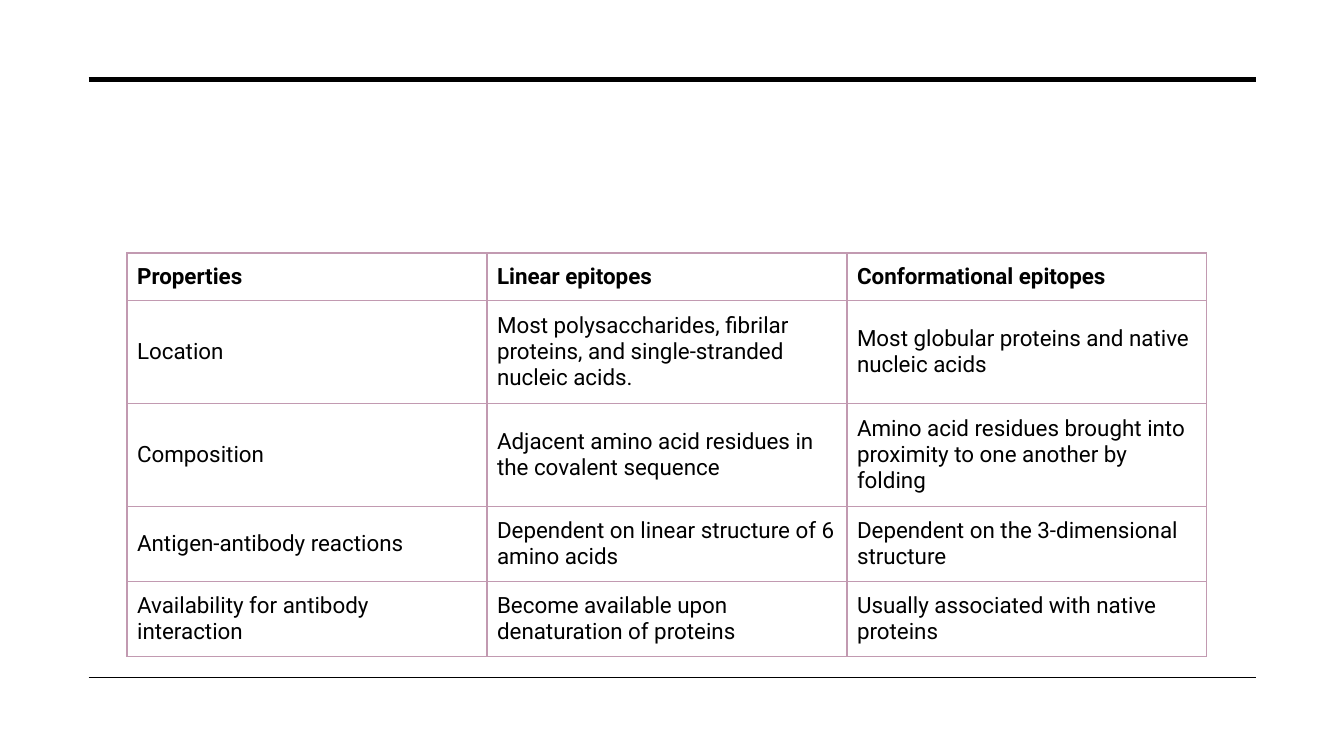
import pptx
import pptx.dml.color
import pptx.enum.shapes
import pptx.enum.text
import pptx.oxml
import pptx.oxml.ns
import pptx.util

BLACK = pptx.dml.color.RGBColor(0x00, 0x00, 0x00)
MAUVE = pptx.dml.color.RGBColor(0xC2, 0x9A, 0xB1)

EPITOPES = [
    ("Properties", "Linear epitopes", "Conformational epitopes"),
    ("Location",
     "Most polysaccharides, fibrilar proteins, and single-stranded nucleic acids.",
     "Most globular proteins and native nucleic acids"),
    ("Composition",
     "Adjacent amino acid residues in the covalent sequence",
     "Amino acid residues brought into proximity to one another by folding"),
    ("Antigen-antibody reactions",
     "Dependent on linear structure of 6 amino acids",
     "Dependent on the 3-dimensional structure"),
    ("Availability for antibody interaction",
     "Become available upon denaturation of proteins",
     "Usually associated with native proteins"),
]
LINES_PER_ROW = [1, 3, 3, 2, 2]


class SlideBuilder:
    """Places elements by percentages of the slide's width and height."""

    text_style = {"name": "Roboto", "size": pptx.util.Pt(16)}
    cell_style = {
        "vertical_anchor": pptx.enum.text.MSO_ANCHOR.MIDDLE,
        **{f"margin_{side}": pptx.util.Inches(0.1)
           for side in ("left", "right", "top", "bottom")},
    }
    padding, line_height = 2.67, 3.64

    def __init__(self, deck):
        self.deck = deck
        self.slide = deck.slides.add_slide(deck.slide_layouts[6])

    def x(self, percent):
        return round(self.deck.slide_width * percent / 100)

    def y(self, percent):
        return round(self.deck.slide_height * percent / 100)

    @staticmethod
    def apply(target, style):
        for attribute, value in style.items():
            setattr(target, attribute, value)

    def rule(self, left, right, height, weight):
        rule = self.slide.shapes.add_connector(
            pptx.enum.shapes.MSO_CONNECTOR.STRAIGHT,
            self.x(left), self.y(height), self.x(right), self.y(height))
        rule.line.color.rgb = BLACK
        rule.line.width = pptx.util.Pt(weight)
        effects = pptx.oxml.parse_xml(
            f'<a:effectLst {pptx.oxml.ns.nsdecls("a")}/>')
        rule._element.spPr.append(effects)

    def border(self, cell, color, weight):
        properties = cell._tc.get_or_add_tcPr()
        for side in "LRTB":
            properties.append(pptx.oxml.parse_xml(
                f'<a:ln{side} {pptx.oxml.ns.nsdecls("a")} w="{pptx.util.Pt(weight)}">'
                f'<a:solidFill><a:srgbClr val="{color}"/></a:solidFill>'
                f'</a:ln{side}>'))

    def table(self, left, top, width, rows, line_counts):
        heights = [self.y(self.padding + self.line_height * count)
                   for count in line_counts]
        table = self.slide.shapes.add_table(
            len(rows), len(rows[0]), self.x(left), self.y(top),
            self.x(width), sum(heights)).table
        self.apply(table, {"first_row": False, "horz_banding": False})
        for row, height in zip(table.rows, heights):
            row.height = height
        for row_index, entries in enumerate(rows):
            for column_index, entry in enumerate(entries):
                cell = table.cell(row_index, column_index)
                cell.text = entry
                self.apply(cell, self.cell_style)
                font = cell.text_frame.paragraphs[0].runs[0].font
                self.apply(font, {**self.text_style, "bold": row_index == 0})
                font.color.rgb = BLACK
                self.border(cell, MAUVE, 1)
                cell.fill.background()


def main():
    deck = pptx.Presentation()
    deck.slide_width = pptx.util.Inches(13.33)
    deck.slide_height = pptx.util.Inches(7.5)
    page = SlideBuilder(deck)

    # Rules framing the page
    page.rule(6.6, 93.47, 10.53, weight=3.5)
    page.rule(6.6, 93.47, 89.6, weight=1)

    # Comparison of epitope types
    page.table(9.45, 33.47, 80.35, EPITOPES, LINES_PER_ROW)

    deck.save("out.pptx")


if __name__ == "__main__":
    main()
